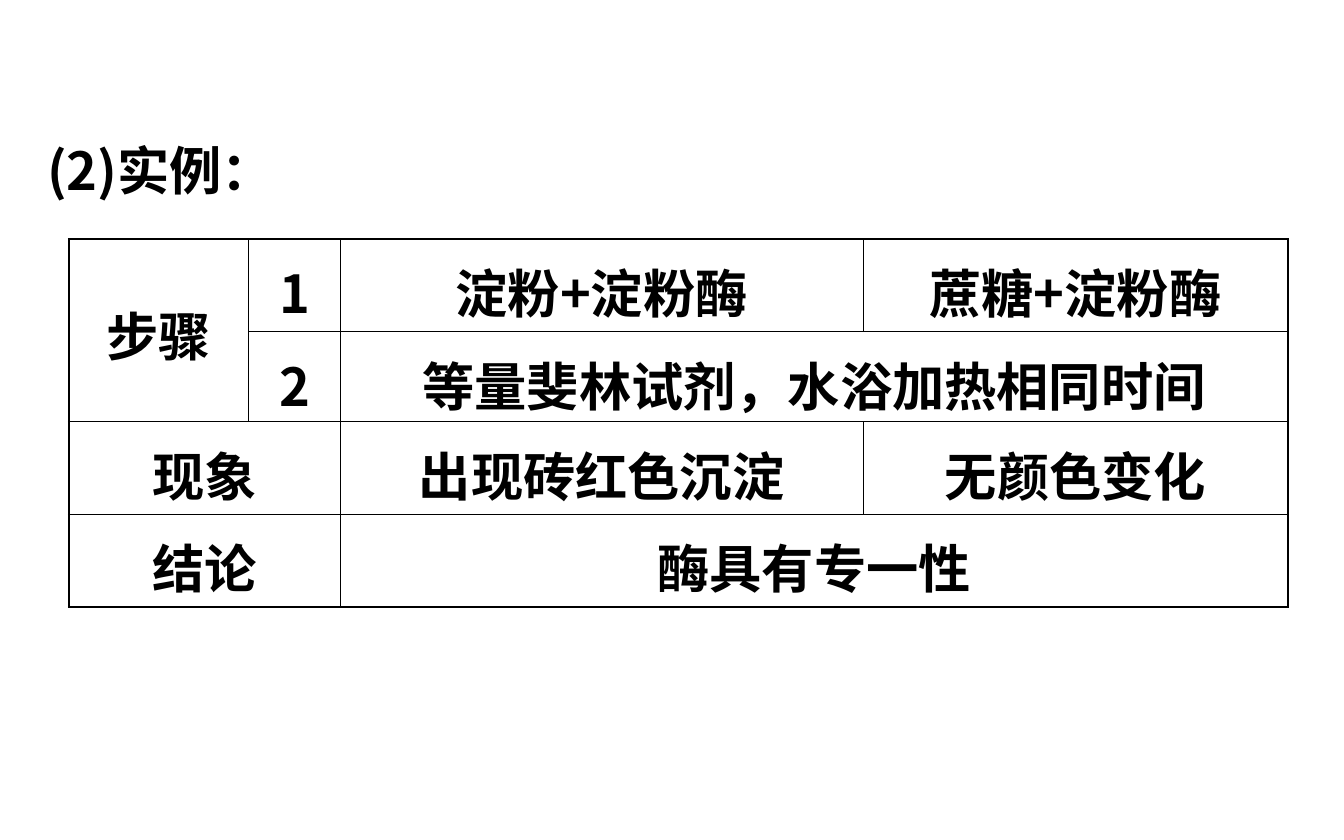
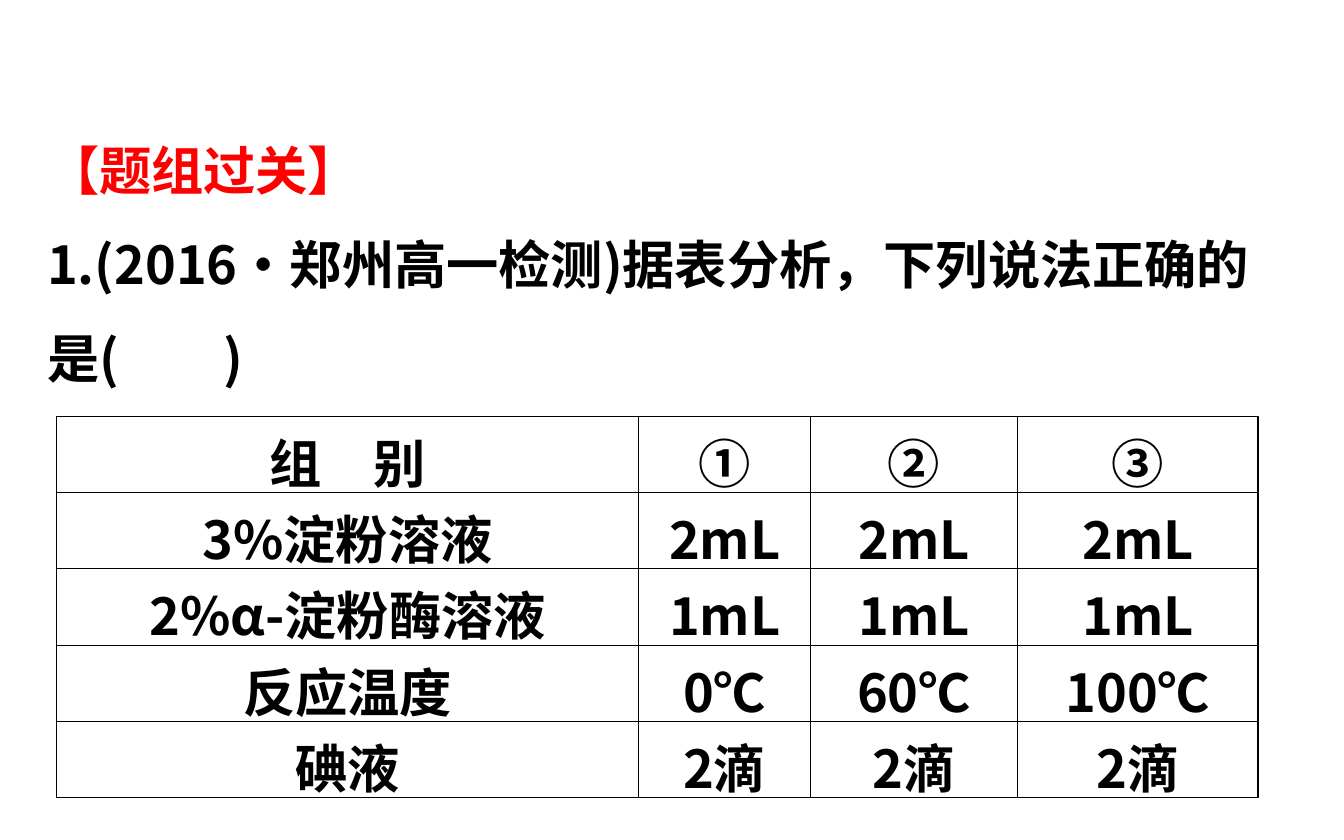
from lxml import etree
from pptx import Presentation
from pptx import util as u
from pptx.dml.color import RGBColor
from pptx.enum import text
from pptx.oxml import ns

FONT = "Noto Sans CJK SC"
BLACK, RED = "000000", "FF0000"
OUTER, INNER = 0.96, 0.45
LEFT, TOP = 0.64, 1.9


def rgb(value):
    return RGBColor.from_string(value)


def sub(parent, tag, **attrs):
    return etree.SubElement(parent, ns.qn(tag), **attrs)


def write(p, words, color=BLACK, size=28, bold=True, align=None, spacing=1.0):
    """Put one formatted run in a paragraph."""
    p.alignment = align
    p.line_spacing = spacing
    r = p.add_run()
    r.text = words
    r.font.size = u.Pt(size)
    r.font.bold = bold
    r.font.color.rgb = rgb(color)
    r.font.name = FONT
    sub(r.font._element, "a:ea", typeface=FONT)


def add_text(s, width, height, lines):
    """Add the text at the top of the slide; lines are (words, colour) pairs."""
    sp = s.shapes.add_textbox(u.Cm(LEFT), u.Cm(TOP), u.Cm(width), u.Cm(height))
    tf = sp.text_frame
    tf.word_wrap = True
    tf.auto_size = text.MSO_AUTO_SIZE.SHAPE_TO_FIT_TEXT
    for i, (words, color) in enumerate(lines):
        p = tf.add_paragraph() if i else tf.paragraphs[0]
        write(p, words, color=color, spacing=1.5)


def set_borders(cell, outer_sides):
    """Draw the four edges, thicker on the sides that lie on the table's rim."""
    tc_pr = cell._tc.get_or_add_tcPr()
    for side in "LRTB":
        width = u.Pt(OUTER if side in outer_sides else INNER)
        ln = sub(tc_pr, f"a:ln{side}", w=str(int(width)))
        sub(sub(ln, "a:solidFill"), "a:srgbClr", val=BLACK)


def add_table(s, left, top, widths, heights, rows, merges=(), spacing=1.0):
    """Add a ruled table; merges are (first row, first column, last row, last column)."""
    frame = s.shapes.add_table(len(heights), len(widths), u.Cm(left), u.Cm(top),
                               u.Cm(sum(widths)), u.Cm(sum(heights)))
    table = frame.table
    table.first_row = table.horz_banding = False
    for column, width in zip(table.columns, widths):
        column.width = u.Cm(width)
    for row, height in zip(table.rows, heights):
        row.height = u.Cm(height)
    for r1, c1, r2, c2 in merges:
        table.cell(r1, c1).merge(table.cell(r2, c2))

    for i, row in enumerate(rows):
        for j, words in enumerate(row):
            cell = table.cell(i, j)
            if not cell.is_spanned:
                rim = {"L": j == 0, "T": i == 0,
                       "R": j + cell.span_width == len(widths),
                       "B": i + cell.span_height == len(heights)}
                set_borders(cell, [side for side in rim if rim[side]])
                cell.vertical_anchor = text.MSO_ANCHOR.MIDDLE
                write(cell.text_frame.paragraphs[0], words,
                      align=text.PP_ALIGN.CENTER, spacing=spacing)
            cell.fill.background()


def add_example_slide(s):
    add_text(s, 23.95, 2.03, [("(2)实例：", BLACK)])
    add_table(s, 1.3, 4.52, [3.4, 1.73, 9.88, 8.03], [1.75, 1.7, 1.75, 1.75], [
        ["步骤", "1", "淀粉+淀粉酶", "蔗糖+淀粉酶"],
        [None, "2", "等量斐林试剂，水浴加热相同时间", None],
        ["现象", None, "出现砖红色沉淀", "无颜色变化"],
        ["结论", None, "酶具有专一性", None],
    ], merges=[(0, 0, 1, 0), (1, 2, 1, 3), (2, 0, 2, 1), (3, 0, 3, 1), (3, 2, 3, 3)],
        spacing=1.1)


def add_exercise_slide(s):
    add_text(s, 25.15, 5.59, [
        ("【题组过关】", RED),
        ("1.(2016·郑州高一检测)据表分析，下列说法正确的", BLACK),
        ("是(　　)", BLACK),
    ])
    add_table(s, 1.07, 7.87, [11, 3.25, 3.91, 4.55], [1.44] * 5, [
        ["组　别", "①", "②", "③"],
        ["3%淀粉溶液"] + ["2mL"] * 3,
        ["2%α-淀粉酶溶液"] + ["1mL"] * 3,
        ["反应温度", "0℃", "60℃", "100℃"],
        ["碘液"] + ["2滴"] * 3,
    ])


def main():
    prs = Presentation()
    prs.slide_width, prs.slide_height = u.Cm(25.4), u.Cm(15.88)
    for build in (add_example_slide, add_exercise_slide):
        build(prs.slides.add_slide(prs.slide_layouts[6]))
    prs.save("out.pptx")


if __name__ == "__main__":
    main()
